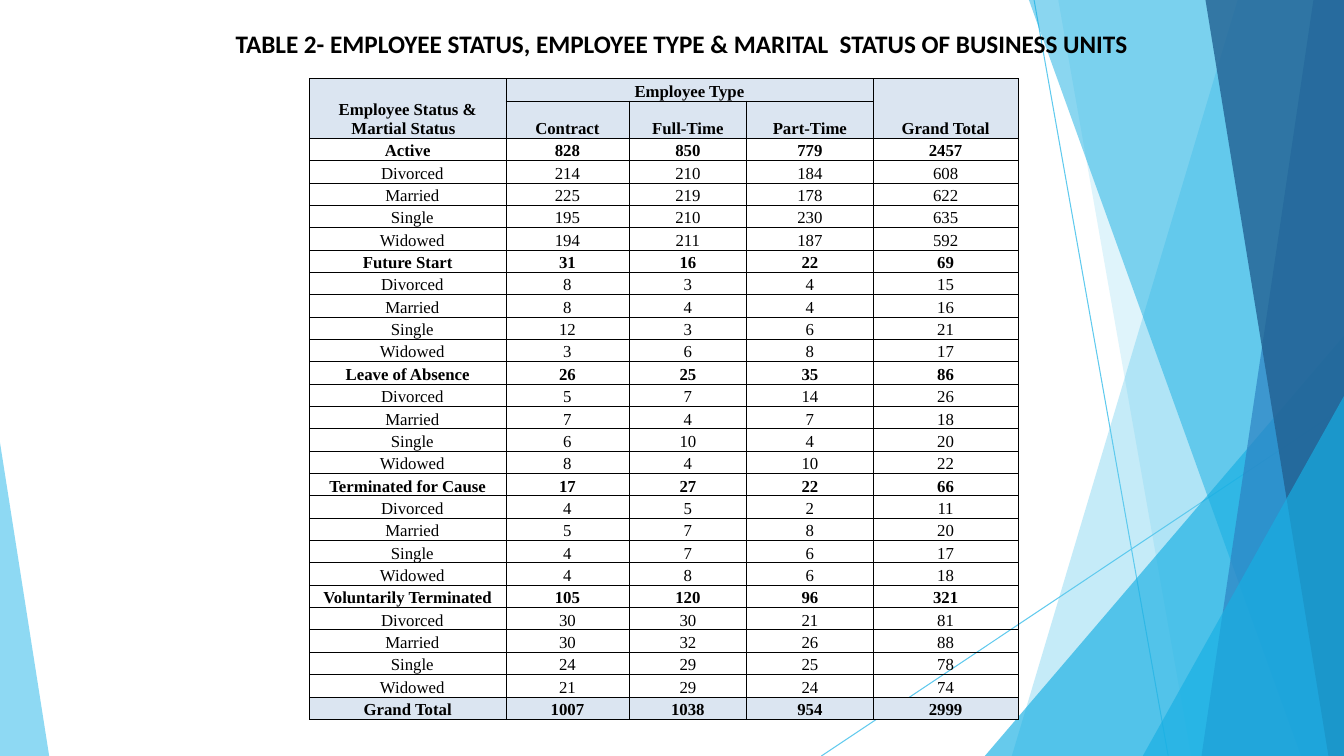
from lxml.etree import SubElement
from pptx import Presentation
from pptx.dml.color import RGBColor
from pptx.enum.shapes import MSO_CONNECTOR
from pptx.enum.text import MSO_ANCHOR, PP_ALIGN
from pptx.oxml.ns import qn
from pptx.util import Cm, Pt

WHITE = RGBColor(0xFF, 0xFF, 0xFF)
BLACK = RGBColor(0x00, 0x00, 0x00)
HEADER_BLUE = RGBColor(0xDB, 0xE5, 0xF1)
SKY = RGBColor(0x5F, 0xCA, 0xEE)
CYAN = RGBColor(0x17, 0xAF, 0xE3)
BLUE = RGBColor(0x2D, 0x83, 0xC3)
NAVY = RGBColor(0x22, 0x61, 0x92)

WIDTH, HEIGHT = 33.87, 19.05
TOP_RIGHT, BOTTOM_RIGHT = (WIDTH, 0), (WIDTH, HEIGHT)

# Thin background lines: start and end in cm
RAYS = [
    ((26.06, 0), (29.44, HEIGHT)),
    ((WIDTH, 10.26), (20.7, HEIGHT)),
]

# Background facets, back to front: colour, opacity in percent, corners in cm
FACETS = [
    (SKY, 36, [TOP_RIGHT, (31.19, 0), (25.5, HEIGHT), BOTTOM_RIGHT]),
    (SKY, 20, [TOP_RIGHT, (26.67, 0), (30.02, HEIGHT), BOTTOM_RIGHT]),
    (CYAN, 66, [(WIDTH, 8.46), (24.82, HEIGHT), BOTTOM_RIGHT]),
    (CYAN, 50, [TOP_RIGHT, (25.93, 0), (32.79, HEIGHT), BOTTOM_RIGHT]),
    (BLUE, 70, [TOP_RIGHT, (33.1, 0), (30.28, HEIGHT), BOTTOM_RIGHT]),
    (NAVY, 80, [TOP_RIGHT, (30.38, 0), (33.48, HEIGHT), BOTTOM_RIGHT]),
    (CYAN, 66, [(WIDTH, 9.98), (28.8, HEIGHT), BOTTOM_RIGHT]),
    (SKY, 70, [(0, 11.15), (0, HEIGHT), (1.24, HEIGHT)]),
]

TITLE = ("TABLE 2- EMPLOYEE STATUS, EMPLOYEE TYPE & "
         "MARITAL  STATUS OF BUSINESS UNITS  ")
EMPLOYEE_TYPES = ["Contract", "Full-Time", "Part-Time"]
MARITAL_STATUSES = ["Divorced", "Married", "Single", "Widowed"]
COLUMN_WIDTHS = [4.95, 3.1, 2.97, 3.18, 3.66]

# One row per marital status, one column per employee type
HEADCOUNTS = {
    "Active": [(214, 210, 184), (225, 219, 178), (195, 210, 230), (194, 211, 187)],
    "Future Start": [(8, 3, 4), (8, 4, 4), (12, 3, 6), (3, 6, 8)],
    "Leave of Absence": [(5, 7, 14), (7, 4, 7), (6, 10, 4), (8, 4, 10)],
    "Terminated for Cause": [(4, 5, 2), (5, 7, 8), (4, 7, 6), (4, 8, 6)],
    "Voluntarily Terminated": [(30, 30, 21), (30, 32, 26), (24, 29, 25), (21, 29, 24)],
}


def add_ray(slide, start, end):
    ends = [Cm(length) for length in (*start, *end)]
    ray = slide.shapes.add_connector(MSO_CONNECTOR.STRAIGHT, *ends)
    ray.line.color.rgb = SKY
    ray.line.width = Pt(0.75)
    SubElement(ray._element.spPr, qn("a:effectLst"))


def add_facet(slide, color, opacity, corners):
    first, *others = [(Cm(x), Cm(y)) for x, y in corners]
    outline = slide.shapes.build_freeform(*first)
    outline.add_line_segments(others, close=True)
    facet = outline.convert_to_shape()
    facet.shadow.inherit = False
    facet.line.fill.background()
    facet.fill.solid()
    facet.fill.fore_color.rgb = color
    color_element = facet._element.spPr.find(qn("a:solidFill"))[0]
    SubElement(color_element, qn("a:alpha"), val=str(opacity * 1000))


def style_text(paragraph, font_name, size, bold):
    paragraph.alignment = PP_ALIGN.CENTER
    font = paragraph.font
    font.name, font.size, font.bold = font_name, Pt(size), bold
    font.color.rgb = BLACK


def add_title(slide):
    title = slide.shapes.add_textbox(Cm(4.42), Cm(0.58), Cm(25.81), Cm(1.73))
    title.text_frame.word_wrap = True
    title.text_frame.text = TITLE
    style_text(title.text_frame.paragraphs[0], "Calibri", 18, True)


def add_borders(cell):
    properties = cell._tc.get_or_add_tcPr()
    for side in ("lnL", "lnR", "lnT", "lnB"):
        border = SubElement(properties, qn(f"a:{side}"), w=str(Pt(0.5)))
        fill = SubElement(border, qn("a:solidFill"))
        SubElement(fill, qn("a:srgbClr"), val=str(BLACK))


def fill_cell(cell, text, bold, shaded, indented):
    cell.text = text
    style_text(cell.text_frame.paragraphs[0], "Times New Roman", 12, bold)
    cell.vertical_anchor = MSO_ANCHOR.BOTTOM
    cell.margin_left = Cm(0.23 if indented else 0)
    cell.margin_right = cell.margin_top = cell.margin_bottom = 0
    add_borders(cell)
    if shaded:
        cell.fill.solid()
        cell.fill.fore_color.rgb = HEADER_BLUE
    else:
        cell.fill.background()


def with_total(label, counts):
    return [label, *map(str, counts), str(sum(counts))]


def column_sums(rows):
    return [sum(column) for column in zip(*rows)]


def table_rows():
    rows = [
        ["Employee Status & Martial Status  ", "Employee Type", "", "", "Grand Total"],
        ["", *EMPLOYEE_TYPES, ""],
    ]
    status_sums = []
    for status, counts in HEADCOUNTS.items():
        status_sums.append(column_sums(counts))
        rows.append(with_total(status, status_sums[-1]))
        rows += map(with_total, MARITAL_STATUSES, counts)
    rows.append(with_total("Grand Total", column_sums(status_sums)))
    return rows


def add_headcount_table(slide):
    rows = table_rows()
    frame = slide.shapes.add_table(len(rows), len(COLUMN_WIDTHS), Cm(7.8), Cm(1.98),
                                   Cm(sum(COLUMN_WIDTHS)), Cm(15.77))
    table = frame.table
    table.first_row = table.horz_banding = False
    for column, width in zip(table.columns, COLUMN_WIDTHS):
        column.width = Cm(width)

    for r, row in enumerate(rows):
        shaded = r < 2 or r == len(rows) - 1
        detail = row[0] in MARITAL_STATUSES
        for c, text in enumerate(row):
            fill_cell(table.cell(r, c), text, not detail, shaded, detail and c == 0)

    # Header spans
    table.cell(0, 0).merge(table.cell(1, 0))
    table.cell(0, 1).merge(table.cell(0, 3))
    table.cell(0, 4).merge(table.cell(1, 4))


def main():
    deck = Presentation()
    deck.slide_width, deck.slide_height = Cm(WIDTH), Cm(HEIGHT)
    slide = deck.slides.add_slide(deck.slide_layouts[6])
    slide.background.fill.solid()
    slide.background.fill.fore_color.rgb = WHITE

    # Background
    for start, end in RAYS:
        add_ray(slide, start, end)
    for color, opacity, corners in FACETS:
        add_facet(slide, color, opacity, corners)

    # Content
    add_headcount_table(slide)
    add_title(slide)
    deck.save("out.pptx")


if __name__ == "__main__":
    main()
